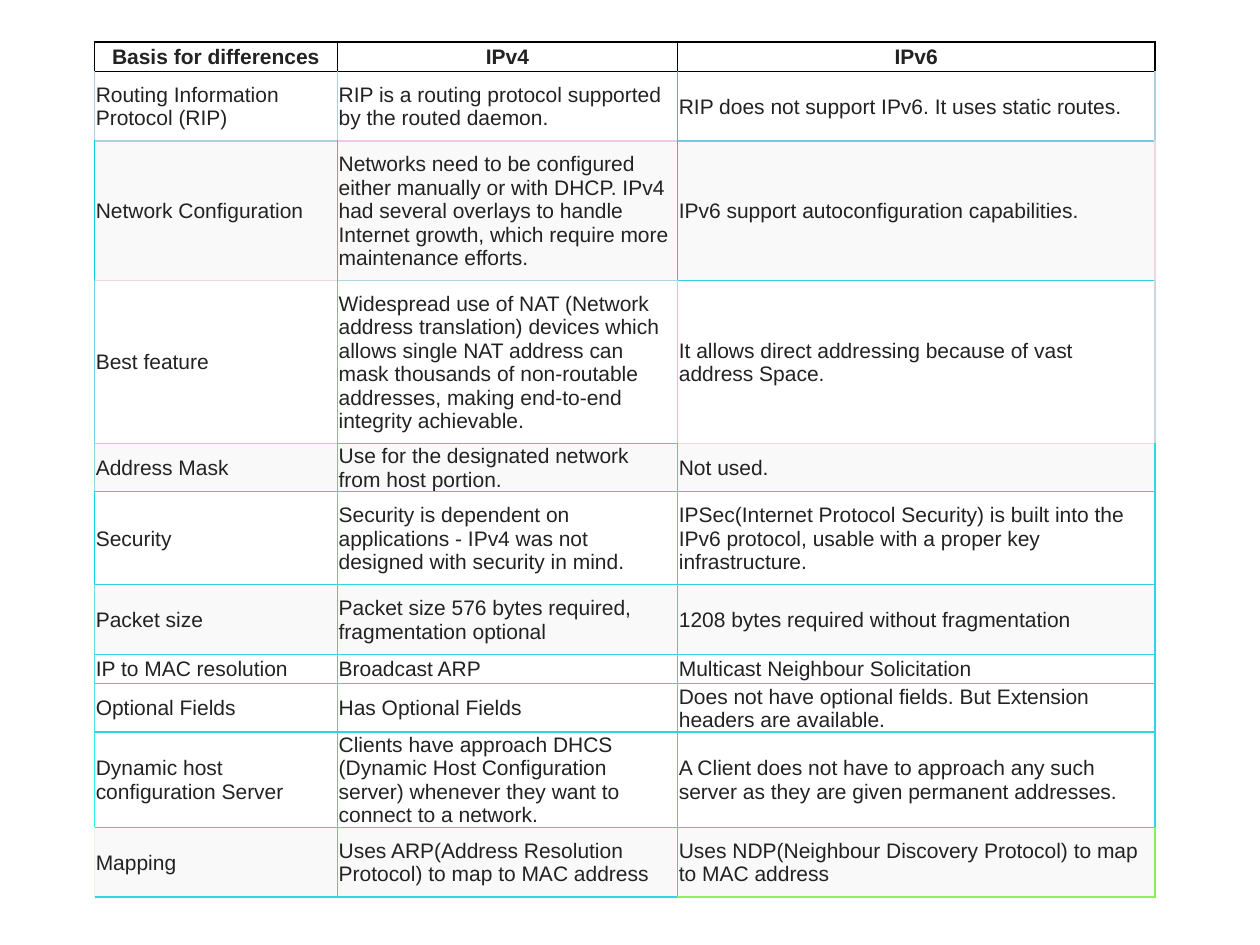
from lxml import etree
from pptx import Presentation
from pptx.dml.color import RGBColor
from pptx.enum import text
from pptx.oxml.ns import qn
from pptx.util import Pt


def rgb(value):
    return RGBColor.from_string(value)


def write_cell(cell, words, bold=False, align=text.PP_ALIGN.LEFT, fill="FFFFFF", borders=None):
    cell.margin_left = cell.margin_top = cell.margin_right = Pt(0.75)
    cell.margin_bottom = 0
    cell.vertical_anchor = text.MSO_ANCHOR.MIDDLE
    # Cell borders come before the fill in the XML
    tcPr = cell._tc.get_or_add_tcPr()
    for tag, color in borders.items():
        ln = etree.SubElement(tcPr, qn("a:" + tag), w=str(Pt(0.75)))
        solid = etree.SubElement(ln, qn("a:solidFill"))
        etree.SubElement(solid, qn("a:srgbClr"), val=color)
    cell.fill.solid()
    cell.fill.fore_color.rgb = rgb(fill)
    p = cell.text_frame.paragraphs[0]
    p.alignment = align
    r = p.add_run()
    r.text = words
    r.font.name = "Arial"
    r.font.size = Pt(12)
    r.font.bold = bold
    r.font.color.rgb = rgb("222222")


prs = Presentation()
prs.slide_width, prs.slide_height = Pt(720), Pt(540)
s = prs.slides.add_slide(prs.slide_layouts[6])

WHITE, GRAY = "FFFFFF", "F9F9F9"
# Each row: height, fill, texts, four vertical border colours, three bottom border colours
rows = [
    (16.8, WHITE, ["Basis for differences", "IPv4", "IPv6"],
     ["000000"] * 4, ["000000"] * 3),
    (39.8, WHITE, ["Routing Information Protocol (RIP)",
                   "RIP is a routing protocol supported by the routed daemon.",
                   "RIP does not support IPv6. It uses static routes."],
     ["B0CBE1", "B0CCE1", "10D0E1", "B0CDE1"], ["B0CDE1", "F0C8E1", "70CDE1"]),
    (79.7, GRAY, ["Network Configuration",
                  "Networks need to be configured either manually or with DHCP. IPv4 had several "
                  "overlays to handle Internet growth, which require more maintenance efforts.",
                  "IPv6 support autoconfiguration capabilities."],
     ["10D3E1", "10D5E1", "10D3E1", "F0D5E1"], ["F0D5E1", "B0D8E1", "30D1E1"]),
    (93, WHITE, ["Best feature",
                 "Widespread use of NAT (Network address translation) devices which allows single NAT "
                 "address can mask thousands of non-routable addresses, making end-to-end integrity "
                 "achievable.",
                 "It allows direct addressing because of vast address Space."],
     ["70D1E1", "30D6E1", "B0D7E1", "D0D3E1"], ["B0D2E1", "30D6E1", "F0D6E1"]),
    (26.6, GRAY, ["Address Mask", "Use for the designated network from host portion.", "Not used."],
     ["90D7E1", "30D7E1", "30D7E1", "30D7E1"], ["30D3E1", "30D3E1", "30D3E1"]),
    (53.2, WHITE, ["Security",
                   "Security is dependent on applications - IPv4 was not designed with security in mind.",
                   "IPSec(Internet Protocol Security) is built into the IPv6 protocol, usable with a "
                   "proper key infrastructure."],
     ["10DAE1", "30D7E1", "30D3E1", "30D7E1"], ["30D3E1", "30D7E1", "30D3E1"]),
    (39.8, GRAY, ["Packet size", "Packet size 576 bytes required, fragmentation optional",
                  "1208 bytes required without fragmentation"],
     ["70DBE1", "30D3E1", "30D7E1", "30D3E1"], ["30D7E1", "30D3E1", "30D7E1"]),
    (16.8, WHITE, ["IP to MAC resolution", "Broadcast ARP", "Multicast Neighbour Solicitation"],
     ["50E1E0", "30D7E1", "30D7E1", "30D7E1"], ["30D3E1", "30D3E1", "30D3E1"]),
    (26.6, WHITE, ["Optional Fields", "Has Optional Fields",
                   "Does not have optional fields. But Extension headers are available."],
     ["50E5E0", "30D7E1", "30D7E1", "30D3E1"], ["30D3E1", "30D3E1", "30D7E1"]),
    (53.2, WHITE, ["Dynamic host configuration Server",
                   "Clients have approach DHCS (Dynamic Host Configuration server) whenever they want "
                   "to connect to a network.",
                   "A Client does not have to approach any such server as they are given permanent "
                   "addresses."],
     ["30EAE0", "30D3E1", "30D3E1", "30D7E1"], ["30D7E1", "30D7E1", "30D3E1"]),
    (39.8, GRAY, ["Mapping", "Uses ARP(Address Resolution Protocol) to map to MAC address",
                  "Uses NDP(Neighbour Discovery Protocol) to map to MAC address"],
     ["F0F7E0", "30D3E1", "30D3E1", "90EC5A"], ["30D7E1", "30D7E1", "90EE5A"]),
]

# Comparison table
widths = [138.8, 194.4, 272.8]
heights = [row[0] for row in rows]
table = s.shapes.add_table(len(rows), len(widths), Pt(54), Pt(24),
                           Pt(sum(widths)), Pt(sum(heights))).table
table.first_row = table.horz_banding = False
for column, width in zip(table.columns, widths):
    column.width = Pt(width)

# Each row's top border repeats the bottom border of the row above
tops = ["000000"] * 3
for i, (height, fill, words, sides, bottoms) in enumerate(rows):
    table.rows[i].height = Pt(height)
    align = text.PP_ALIGN.LEFT if i else text.PP_ALIGN.CENTER
    for j, phrase in enumerate(words):
        borders = {"lnL": sides[j], "lnR": sides[j + 1], "lnT": tops[j], "lnB": bottoms[j]}
        write_cell(table.cell(i, j), phrase, bold=i == 0, align=align, fill=fill, borders=borders)
    tops = bottoms

prs.save("out.pptx")
